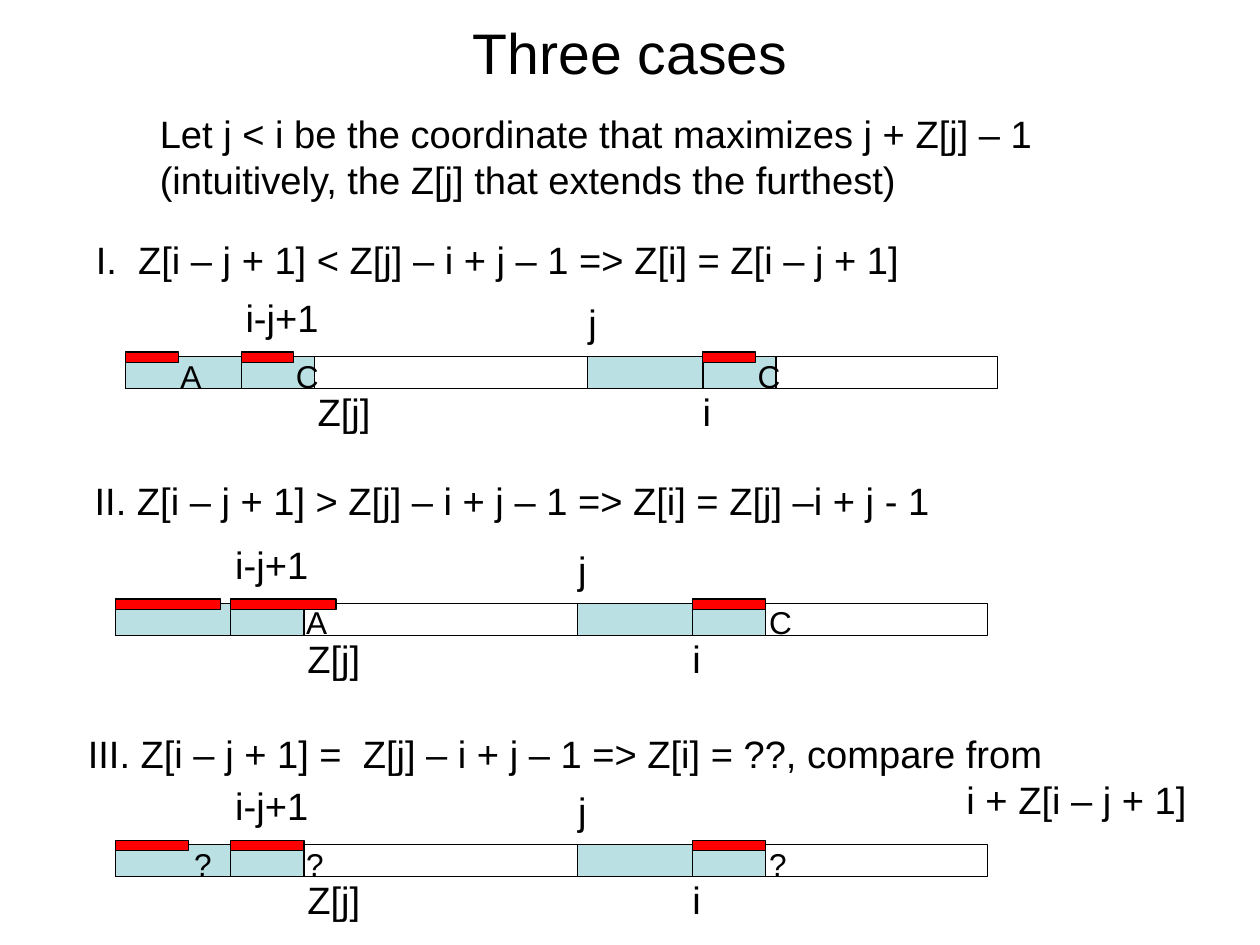
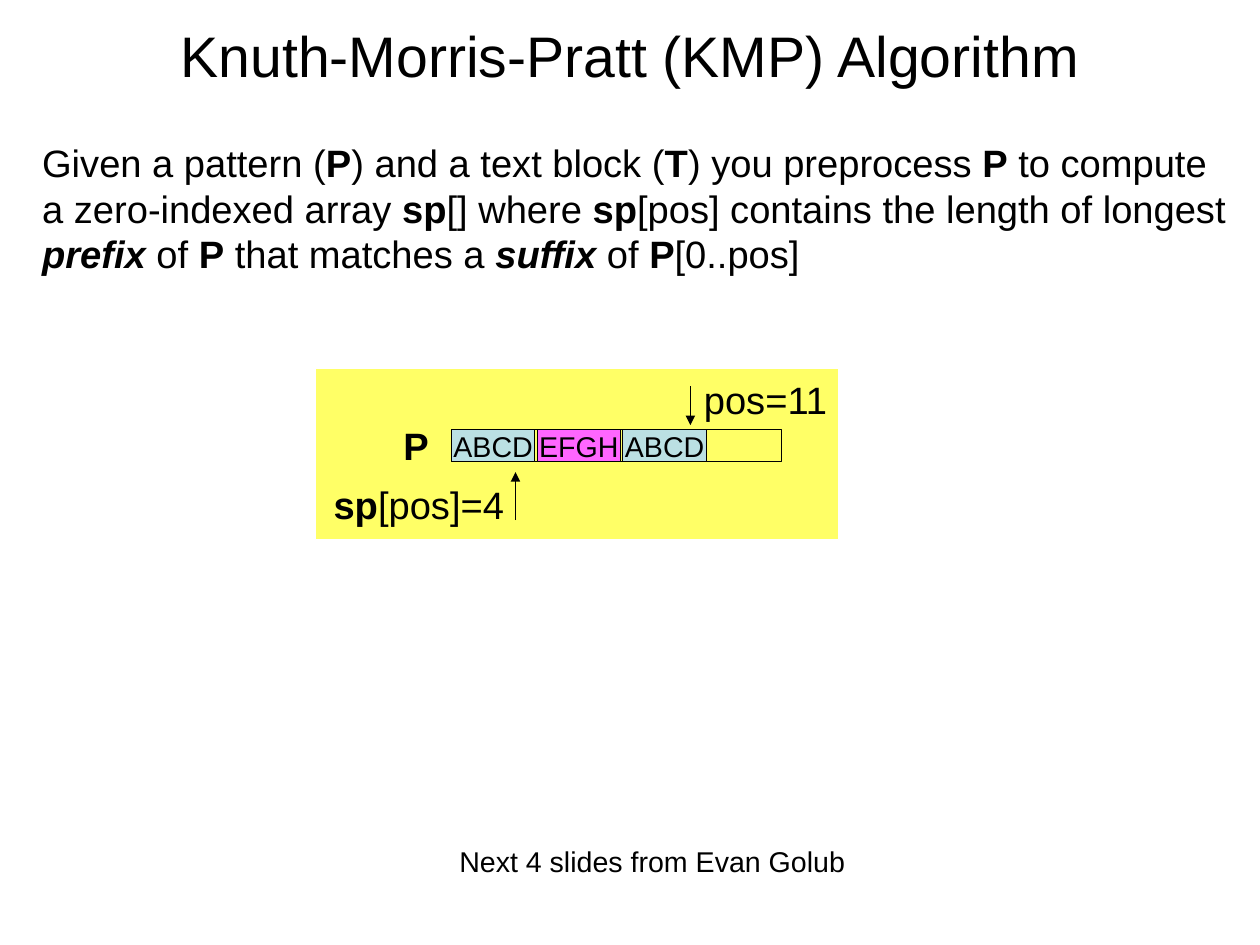
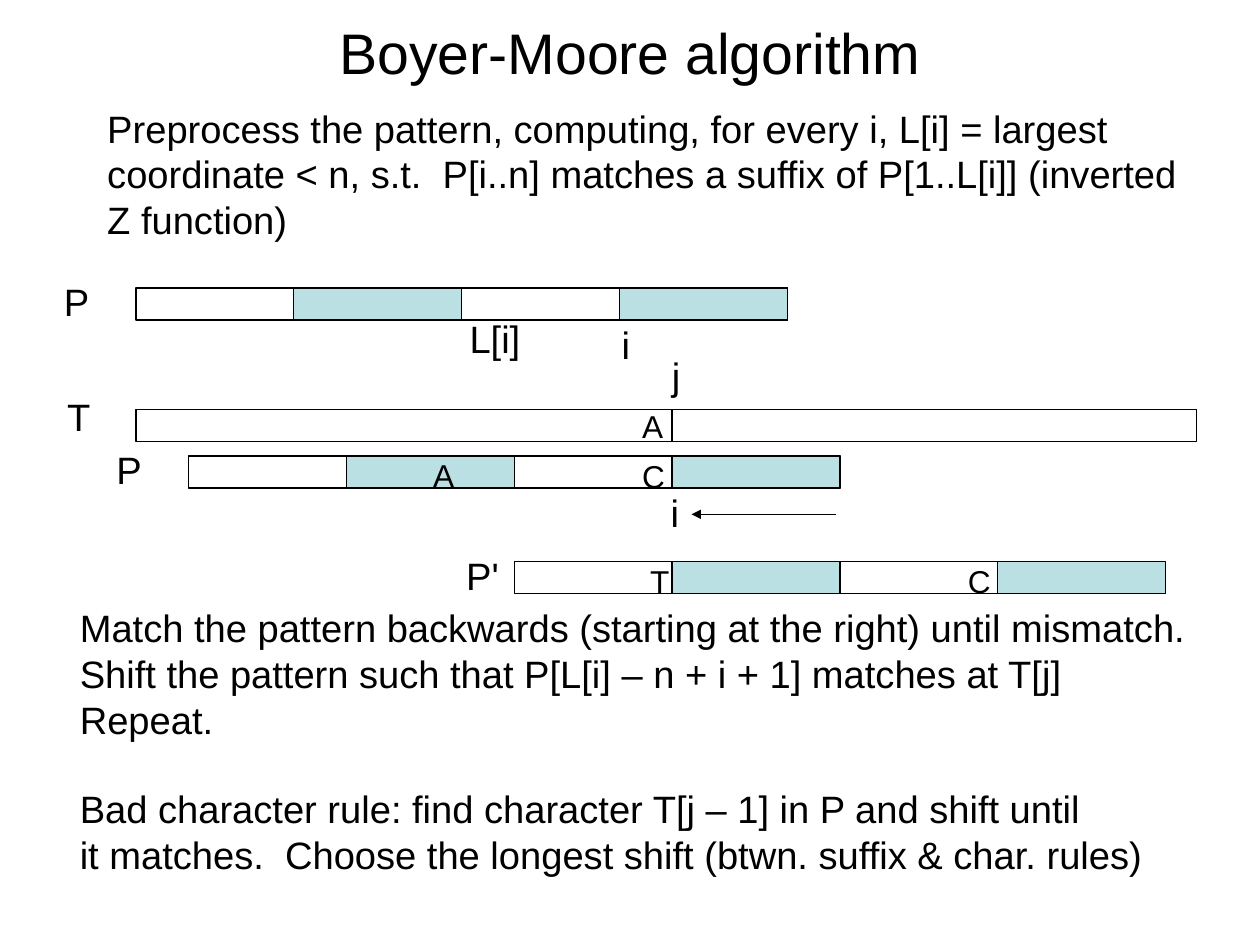
"""Build three slides on linear-time string matching."""

from dataclasses import dataclass

from lxml.etree import SubElement
from pptx import Presentation
from pptx.dml.color import RGBColor
from pptx.enum.shapes import MSO_CONNECTOR, MSO_SHAPE
from pptx.enum.text import MSO_ANCHOR, MSO_AUTO_SIZE, PP_ALIGN
from pptx.oxml.ns import qn
from pptx.presentation import Presentation as Deck
from pptx.shapes.autoshape import Shape
from pptx.slide import Slide
from pptx.text.text import TextFrame
from pptx.util import Inches, Pt

BLACK = RGBColor(0x00, 0x00, 0x00)
WHITE = RGBColor(0xFF, 0xFF, 0xFF)
TEAL = RGBColor(0xBB, 0xE0, 0xE3)
RED = RGBColor(0xFF, 0x00, 0x00)
YELLOW = RGBColor(0xFF, 0xFF, 0x66)
PINK = RGBColor(0xFF, 0x66, 0xFF)

FONT = "Arial"
CENTIMETRES_PER_INCH = 2.54
SLIDE_WIDTH = 28 / CENTIMETRES_PER_INCH
SLIDE_HEIGHT = 21 / CENTIMETRES_PER_INCH
TITLE_ONLY_LAYOUT = 5
BAR_HEIGHT = 0.28
LABEL_WIDTHS = {"i": 0.27, "j": 0.27, "i-j+1": 0.84, "Z[j]": 0.66,
                "L[i]": 0.64, "P": 0.42, "T": 0.4, "P'": 0.48}
LETTER_WIDTHS = {"A": 0.38, "C": 0.4, "T": 0.37, "?": 0.35}


@dataclass(frozen=True)
class Case:
    """One case of the Z algorithm with its bar diagram."""

    statement: str
    statement_left: float
    statement_top: float
    statement_width: float
    left: float
    top: float
    match_lengths: tuple[float, float, float]
    letters: tuple[tuple[str, float], ...]


@dataclass(frozen=True)
class Pattern:
    """One placement of the pattern bar and its name."""

    name: str
    name_left: float
    left: float
    top: float


CASES = (
    Case("I.  Z[i – j + 1] < Z[j] – i + j – 1 => Z[i] = Z[i – j + 1]",
         0.74, 2.02, 7.32, 1.1, 3.12, (0.46, 0.46, 0.46),
         (("A", 1.48), ("C", 2.49), ("C", 6.53))),
    Case("II. Z[i – j + 1] > Z[j] – i + j – 1 => Z[i] = Z[j] –i + j - 1",
         0.73, 4.13, 7.51, 1.01, 5.28, (0.92, 0.92, 0.64),
         (("A", 2.58), ("C", 6.63))),
    Case("III. Z[i – j + 1] =  Z[j] – i + j – 1 => Z[i] = ??, compare from\n"
         "i + Z[i – j + 1]",
         0.67, 6.34, 9.81, 1.01, 7.39, (0.64, 0.64, 0.64),
         (("?", 1.6), ("?", 2.58), ("?", 6.63))),
)

PATTERNS = (
    Pattern("P", 0.46, 1.19, 2.52),
    Pattern("P", 0.92, 1.65, 3.99),
    Pattern("P'", 3.98, 4.5, 4.91),
)


def write_text(frame: TextFrame, text: str, *, size: float = 24,
               align: PP_ALIGN = PP_ALIGN.LEFT,
               anchor: MSO_ANCHOR = MSO_ANCHOR.TOP, wrap: bool = False,
               inset_top: float = 0.05,
               italic_words: tuple[str, ...] = ()) -> None:
    """Write one paragraph per line, with *starred* pieces in bold."""
    frame.word_wrap = wrap
    frame.auto_size = MSO_AUTO_SIZE.NONE
    frame.vertical_anchor = anchor
    frame.margin_left = frame.margin_right = Inches(0.1)
    frame.margin_top, frame.margin_bottom = Inches(inset_top), Inches(0.05)
    for number, line in enumerate(text.split("\n")):
        paragraph = frame.add_paragraph() if number else frame.paragraphs[0]
        paragraph.alignment = align
        for position, piece in enumerate(line.split("*")):
            if not piece:
                continue
            run = paragraph.add_run()
            run.text = piece
            run.font.name = FONT
            run.font.size = Pt(size)
            run.font.color.rgb = BLACK
            run.font.bold = position % 2 == 1
            run.font.italic = piece in italic_words


def add_text(slide: Slide, text: str, left: float, top: float, width: float,
             height: float = 0.47, **text_format) -> Shape:
    """Add a text box."""
    box = slide.shapes.add_textbox(
        Inches(left), Inches(top), Inches(width), Inches(height))
    write_text(box.text_frame, text, **text_format)
    return box


def add_label(slide: Slide, text: str, left: float, top: float) -> None:
    """Add an index or string name beside a bar."""
    add_text(slide, text, left, top, LABEL_WIDTHS[text])


def add_letter(slide: Slide, text: str, left: float, top: float) -> None:
    """Add a single character inside a bar."""
    add_text(slide, text, left, top, LETTER_WIDTHS[text], 0.41, size=19.9)


def add_bar(slide: Slide, left: float, top: float, width: float,
            height: float = BAR_HEIGHT, *, fill: RGBColor | None = None,
            line: RGBColor = BLACK) -> Shape:
    """Add a thinly outlined rectangle, hollow unless a fill is given."""
    bar = slide.shapes.add_shape(
        MSO_SHAPE.RECTANGLE,
        Inches(left), Inches(top), Inches(width), Inches(height))
    bar.shadow.inherit = False
    if fill is None:
        bar.fill.background()
    else:
        bar.fill.solid()
        bar.fill.fore_color.rgb = fill
    bar.line.color.rgb = line
    bar.line.width = Pt(0.75)
    return bar


def add_line(slide: Slide, start: tuple[float, float],
             end: tuple[float, float], *, arrow: bool = False) -> None:
    """Add a thin line, optionally with an arrowhead at its end."""
    connector = slide.shapes.add_connector(
        MSO_CONNECTOR.STRAIGHT, Inches(start[0]), Inches(start[1]),
        Inches(end[0]), Inches(end[1]))
    connector.line.color.rgb = BLACK
    connector.line.width = Pt(0.75)
    properties = connector._element.spPr
    if arrow:
        SubElement(properties.find(qn("a:ln")), qn("a:tailEnd"),
                   type="triangle")
    SubElement(properties, qn("a:effectLst"))


def add_divider(slide: Slide, left: float, top: float) -> None:
    """Add a vertical line across a bar."""
    add_line(slide, (left, top), (left, top + BAR_HEIGHT))


def add_titled_slide(presentation: Deck, title: str,
                     inset_top: float = 0.05) -> Slide:
    """Add a slide with the shared title style."""
    slide = presentation.slides.add_slide(
        presentation.slide_layouts[TITLE_ONLY_LAYOUT])
    placeholder = slide.shapes.title
    placeholder.left, placeholder.top = Inches(0), Inches(0.07)
    placeholder.width, placeholder.height = Inches(SLIDE_WIDTH), Inches(0.77)
    write_text(placeholder.text_frame, title, size=36, align=PP_ALIGN.CENTER,
               anchor=MSO_ANCHOR.MIDDLE, wrap=True, inset_top=inset_top)
    return slide


def draw_case(slide: Slide, case: Case) -> None:
    """Draw a case statement and its bar diagram."""
    left, top = case.left, case.top
    prefix, inner, second_copy = 1.01, 0.64, 4.04
    statement = add_text(
        slide, case.statement, case.statement_left, case.statement_top,
        case.statement_width, 0.47 + 0.38 * case.statement.count("\n"))
    for paragraph in statement.text_frame.paragraphs[1:]:
        paragraph.alignment = PP_ALIGN.RIGHT
    add_bar(slide, left, top, 7.63)
    for start in (left, left + second_copy):
        add_bar(slide, start, top, prefix + inner, fill=TEAL)
        add_divider(slide, start + prefix, top)
    for text, across, down in (("i", 4.95, 0.23), ("j", 3.95, -0.55),
                               ("i-j+1", 0.95, -0.59), ("Z[j]", 1.58, 0.23)):
        add_label(slide, text, left + across, top + down)
    starts = (left, left + prefix, left + second_copy + prefix)
    for start, length in zip(starts, case.match_lengths):
        add_bar(slide, start, top - 0.04, length, 0.09, fill=RED)
    for letter, letter_left in case.letters:
        add_letter(slide, letter, letter_left, top - 0.05)


def draw_pattern(slide: Slide, pattern: Pattern) -> None:
    """Draw a pattern bar with its two matching parts."""
    add_bar(slide, pattern.left, pattern.top, 5.7)
    for offset in (1.38, 4.23):
        add_bar(slide, pattern.left + offset, pattern.top, 1.47, fill=TEAL)
    add_label(slide, pattern.name, pattern.name_left, pattern.top - 0.13)


def build_cases_slide(presentation: Deck) -> None:
    """Build the slide on the three cases of the Z algorithm."""
    slide = add_titled_slide(presentation, "Three cases")
    add_text(slide, "Let j < i be the coordinate that maximizes j + Z[j] – 1\n"
             "(intuitively, the Z[j] that extends the furthest)",
             1.3, 0.92, 7.83, 0.85)
    for case in CASES:
        draw_case(slide, case)


def build_kmp_slide(presentation: Deck) -> None:
    """Build the slide on the Knuth-Morris-Pratt algorithm."""
    slide = add_titled_slide(
        presentation, "Knuth-Morris-Pratt (KMP) Algorithm", inset_top=0.09)
    add_text(slide, "Given a pattern (*P*) and a text block (*T*) you "
             "preprocess *P* to compute\n"
             "a zero-indexed array *sp*[] where *sp*[pos] contains the "
             "length of longest\n"
             "*prefix* of *P* that matches a *suffix* of *P*[0..pos]",
             0.27, 1.15, 10.65, 1.33, inset_top=0.07,
             italic_words=("prefix", "suffix"))
    add_bar(slide, 2.76, 3.22, 4.58, 1.5, fill=YELLOW, line=WHITE)
    bar_left, bar_top = 3.95, 3.76
    add_bar(slide, bar_left, bar_top, 2.89)
    for number, (text, fill) in enumerate(
            (("ABCD", TEAL), ("EFGH", PINK), ("ABCD", TEAL))):
        block = add_bar(slide, bar_left + 0.75 * number, bar_top, 0.73,
                        fill=fill)
        write_text(block.text_frame, text, size=18, align=PP_ALIGN.CENTER,
                   anchor=MSO_ANCHOR.MIDDLE)
    for text, left, top, width in (("pos=11", 6.06, 3.22, 1.28),
                                   ("*sp*[pos]=4", 2.82, 4.14, 1.69),
                                   ("*P*", 3.43, 3.63, 0.42)):
        add_text(slide, text, left, top, width, 0.53, inset_top=0.07)
    add_line(slide, (6.04, 3.38), (6.04, 3.72), arrow=True)
    add_line(slide, (4.51, 4.55), (4.51, 4.13), arrow=True)
    add_text(slide, "Next 4 slides from Evan Golub", 3.92, 7.33, 3.57, 0.38,
             size=18)


def build_boyer_moore_slide(presentation: Deck) -> None:
    """Build the slide on the Boyer-Moore algorithm."""
    slide = add_titled_slide(presentation, "Boyer-Moore algorithm")
    add_text(slide,
             "Preprocess the pattern, computing, for every i, L[i] = largest\n"
             "coordinate < n, s.t.  P[i..n] matches a suffix of P[1..L[i]] "
             "(inverted\nZ function)", 0.84, 0.87, 9.56, 1.22)
    text_top = 3.58
    add_bar(slide, 1.19, text_top, 9.28)
    add_divider(slide, 5.88, text_top)
    for pattern in PATTERNS:
        draw_pattern(slide, pattern)
    for text, left, top in (("L[i]", 4.01, 2.71), ("i", 5.34, 2.76),
                            ("j", 5.78, 3.03), ("T", 0.49, 3.39),
                            ("i", 5.77, 4.23)):
        add_label(slide, text, left, top)
    for text, left, top in (("A", 5.52, 3.51), ("A", 3.69, 3.94),
                            ("C", 5.52, 3.95), ("T", 5.59, 4.87),
                            ("C", 8.37, 4.87)):
        add_letter(slide, text, left, top)
    add_line(slide, (7.31, 4.5), (6.05, 4.5), arrow=True)
    rules = add_text(
        slide,
        "Match the pattern backwards (starting at the right) until mismatch.\n"
        "Shift the pattern such that P[L[i] – n + i + 1] matches at T[j]\n"
        "Repeat.\n"
        "Bad character rule: find character T[j – 1] in P and shift until\n"
        "it matches.  Choose the longest shift (btwn. suffix & char. rules)",
        0.6, 5.24, 9.87, 2.33)
    rules.text_frame.paragraphs[3].space_before = Pt(27.6)


def main() -> None:
    """Build and save the presentation."""
    presentation = Presentation()
    presentation.slide_width = Inches(SLIDE_WIDTH)
    presentation.slide_height = Inches(SLIDE_HEIGHT)
    build_cases_slide(presentation)
    build_kmp_slide(presentation)
    build_boyer_moore_slide(presentation)
    presentation.save("out.pptx")


if __name__ == "__main__":
    main()
